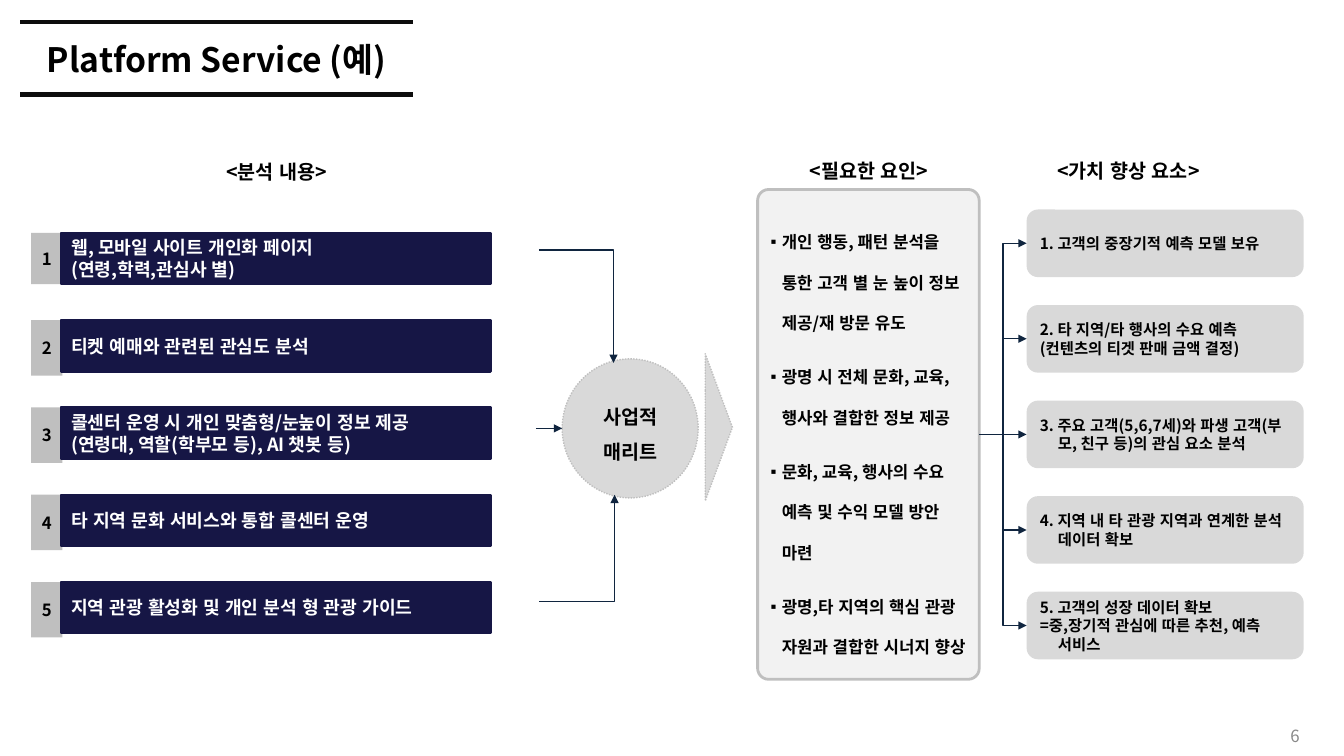
from dataclasses import dataclass
from lxml.etree import SubElement
from pptx import Presentation
from pptx.dml.color import RGBColor
from pptx.enum.dml import MSO_LINE
from pptx.enum.lang import MSO_LANGUAGE_ID as Language
from pptx.enum.shapes import MSO_CONNECTOR as Link, MSO_SHAPE as Preset
from pptx.enum.text import MSO_ANCHOR as Anchor, MSO_AUTO_SIZE as AutoSize, PP_ALIGN as Align
from pptx.oxml.ns import qn
from pptx.util import Inches, Pt


@dataclass(frozen=True)
class Theme:
    font: str = "Noto Sans CJK KR"
    ink: str = "000000"
    white: str = "FFFFFF"
    navy: str = "161645"
    badge: str = "BFBFBF"
    card: str = "D9D9D9"
    panel: str = "F2F2F2"
    arrow: str = "10253F"
    rule: str = "0D0D0D"
    page: str = "898989"
    title_size: float = 24
    heading_size: float = 14
    bar_size: float = 13
    body_size: float = 12
    card_size: float = 11


THEME = Theme()

# The grid: one column or row is a tenth of an inch
UNIT = Inches(0.1)
COLUMNS, ROWS = 133.4, 75
ANALYSIS_TOP, ANALYSIS_PITCH = 23.1, 8.66
PANEL = (75.2, 18.8, 22, 48.6)
PANEL_MIDDLE = PANEL[1] + PANEL[3] / 2
CARD_HEIGHT, CARD_PITCH = 6.7, 9.48

ANALYSES = [
    ["웹, 모바일 사이트 개인화 페이지", "(연령,학력,관심사 별)"],
    ["티켓 예매와 관련된 관심도 분석"],
    ["콜센터 운영 시 개인 맞춤형/눈높이 정보 제공", "(연령대, 역할(학부모 등), AI 챗봇 등)"],
    ["타 지역 문화 서비스와 통합 콜센터 운영"],
    ["지역 관광 활성화 및 개인 분석 형 관광 가이드"],
]
FACTORS = [
    "개인 행동, 패턴 분석을 통한 고객 별 눈 높이 정보 제공/재 방문 유도",
    "광명 시 전체 문화, 교육, 행사와 결합한 정보 제공",
    "문화, 교육, 행사의 수요 예측 및 수익 모델 방안 마련",
    "광명,타 지역의 핵심 관광 자원과 결합한 시너지 향상",
]
VALUES = [
    ["1. 고객의 중장기적 예측 모델 보유"],
    ["2. 타 지역/타 행사의 수요 예측", "(컨텐츠의 티겟 판매 금액 결정)"],
    ["3. 주요 고객(5,6,7세)와 파생 고객(부모, 친구 등)의 관심 요소 분석"],
    ["4. 지역 내 타 관광 지역과 연계한 분석 데이터 확보"],
    ["5. 고객의 성장 데이터 확보", "=중,장기적 관심에 따른 추천, 예측 서비스"],
]


def grid(*cells):
    return [int(cell * UNIT) for cell in cells]


def assign(target, values):
    for name, value in values.items():
        setattr(target, name, value)


def write(holder, lines, size, color=THEME.ink, bold=True, align=Align.LEFT, spacing=1.0,
          gap=0, hang=0, bullet=None, anchor=Anchor.MIDDLE, insets=(1, 0.5, 1, 0.5), wrap=True):
    """Fill a shape with one formatted paragraph per line."""
    frame = holder.text_frame
    left, top, right, bottom = grid(*insets)
    assign(frame, {"auto_size": AutoSize.NONE, "word_wrap": wrap, "vertical_anchor": anchor,
                   "margin_left": left, "margin_top": top,
                   "margin_right": right, "margin_bottom": bottom})
    for index, line in enumerate(lines):
        paragraph = frame.add_paragraph() if index else frame.paragraphs[0]
        properties = paragraph._p.get_or_add_pPr()
        indent = grid(hang)[0]
        properties.set("marL", str(indent))
        properties.set("indent", str(-indent))
        if bullet:
            tint = SubElement(properties, qn("a:buClr"))
            SubElement(tint, qn("a:srgbClr"), val=color)
            SubElement(properties, qn("a:buChar"), char=bullet)
        assign(paragraph, {"alignment": align, "line_spacing": spacing,
                           "space_before": Pt(gap if index else 0), "space_after": Pt(gap)})
        run = paragraph.add_run()
        run.text = line
        assign(run.font, {"size": Pt(size), "bold": bold, "name": THEME.font,
                          "language_id": Language.KOREAN})
        run.font.color.rgb = RGBColor.from_string(color)
        SubElement(run._r.get_or_add_rPr(), qn("a:ea"), typeface=THEME.font)


def block(slide, preset, cells, fill, outline=None, width=1, dash=None, adjust=()):
    shape = slide.shapes.add_shape(preset, *grid(*cells))
    shape.shadow.inherit = False
    shape.fill.solid()
    shape.fill.fore_color.rgb = RGBColor.from_string(fill)
    for index, value in enumerate(adjust):
        shape.adjustments[index] = value
    if outline:
        shape.line.color.rgb = RGBColor.from_string(outline)
        assign(shape.line, {"width": Pt(width), "dash_style": dash})
    else:
        shape.line.fill.background()
    return shape


def label(slide, cells, text, size, **style):
    write(slide.shapes.add_textbox(*grid(*cells)), [text], size, **style)


def link(slide, kind, start, end, color=THEME.arrow, width=1, head=True, corner=False):
    connector = slide.shapes.add_connector(kind, *grid(*start, *end))
    connector.line.color.rgb = RGBColor.from_string(color)
    connector.line.width = Pt(width)
    properties = connector.element.spPr
    if head:
        SubElement(properties.find(qn("a:ln")), qn("a:tailEnd"), type="triangle")
    if corner:
        properties.find(qn("a:prstGeom")).set("prst", "bentConnector2")
    SubElement(properties, qn("a:effectLst"))
    return connector


def add_title(slide):
    title = slide.shapes.title
    assign(title, dict(zip(("left", "top", "width", "height"), grid(2, 3.4, 39, 5))))
    write(title, ["Platform Service (예)"], THEME.title_size, align=Align.CENTER, anchor=Anchor.TOP)
    for row in (2.2, 9.4):
        link(slide, Link.STRAIGHT, (2, row), (41, row), THEME.rule, 3.25, head=False)


def add_headings(slide):
    for cells, text in (((16.6, 15.5, 21.7, 3.1), "<분석 내용>"),
                        ((75.4, 15.4, 21.7, 3.1), "<필요한 요인>"),
                        ((103.3, 15.4, 17.4, 3.1), "<가치 향상 요소>")):
        label(slide, cells, text, THEME.heading_size, align=Align.CENTER,
              anchor=Anchor.TOP, insets=(0.4,) * 4)


def add_analyses(slide):
    for index, lines in enumerate(ANALYSES):
        top = ANALYSIS_TOP + index * ANALYSIS_PITCH
        number = block(slide, Preset.RECTANGLE, (3.1, top, 3.1, 5.5 if index else 5.1), THEME.badge)
        write(number, [str(index + 1)], THEME.body_size, align=Align.CENTER)
        bar = block(slide, Preset.RECTANGLE, (6.1, top, 42.6, 5.1), THEME.navy, THEME.navy, 1.5)
        write(bar, lines, THEME.bar_size, THEME.white, wrap=False)


def add_merit(slide):
    dotted = {"outline": THEME.badge, "dash": MSO_LINE.ROUND_DOT}
    merit = block(slide, Preset.OVAL, (55.8, 35.6, 13.5, 13.8), THEME.card, **dotted)
    write(merit, ["사업적", "매리트"], THEME.heading_size, align=Align.CENTER, spacing=1.5, wrap=False)
    link(slide, Link.ELBOW, (53.5, 24.8), (60.9, 36), corner=True)
    link(slide, Link.STRAIGHT, (53.2, 42.5), (55.8, 42.5))
    link(slide, Link.ELBOW, (53.5, 59.7), (61, 49.1), corner=True)
    block(slide, Preset.RIGHT_ARROW, (70, 35.1, 2.7, 14.6), THEME.card, adjust=(0.5, 1), **dotted)


def add_factors(slide):
    panel = block(slide, Preset.ROUNDED_RECTANGLE, PANEL, THEME.panel, THEME.badge, 2, adjust=(0.05,))
    factors = slide.placeholders[1]
    assign(factors, dict(zip(("left", "top", "width", "height"), grid(*PANEL))))
    write(factors, FACTORS, THEME.body_size, spacing=2.0, gap=5, hang=1.1, bullet="▪",
          insets=(1.3, 0.5, 0.7, 0.5))
    # Bring the list in front of its panel
    factors.element.getparent().append(factors.element)
    return panel


def add_values(slide, panel):
    for index, lines in enumerate(VALUES):
        middle = PANEL_MIDDLE + (index - 2) * CARD_PITCH
        card = block(slide, Preset.ROUNDED_RECTANGLE,
                     (101.9, middle - CARD_HEIGHT / 2, 27.5, CARD_HEIGHT), THEME.card)
        write(card, lines, THEME.card_size, hang=1.8, insets=(1, 0.5, 0.4, 0.5))
        branch = link(slide, Link.STRAIGHT if index == 2 else Link.ELBOW,
                      (PANEL[0] + PANEL[2], PANEL_MIDDLE), (101.9, middle))
        branch.begin_connect(panel, 3)
        branch.end_connect(card, 1)


def main():
    deck = Presentation()
    deck.slide_width, deck.slide_height = grid(COLUMNS, ROWS)
    slide = deck.slides.add_slide(deck.slide_layouts[1])
    add_title(slide)
    add_headings(slide)
    add_analyses(slide)
    add_merit(slide)
    add_values(slide, add_factors(slide))
    # Page number
    label(slide, (100, 71, 30, 4), "6", THEME.body_size, color=THEME.page, bold=False, align=Align.RIGHT)
    deck.save("out.pptx")


if __name__ == "__main__":
    main()
